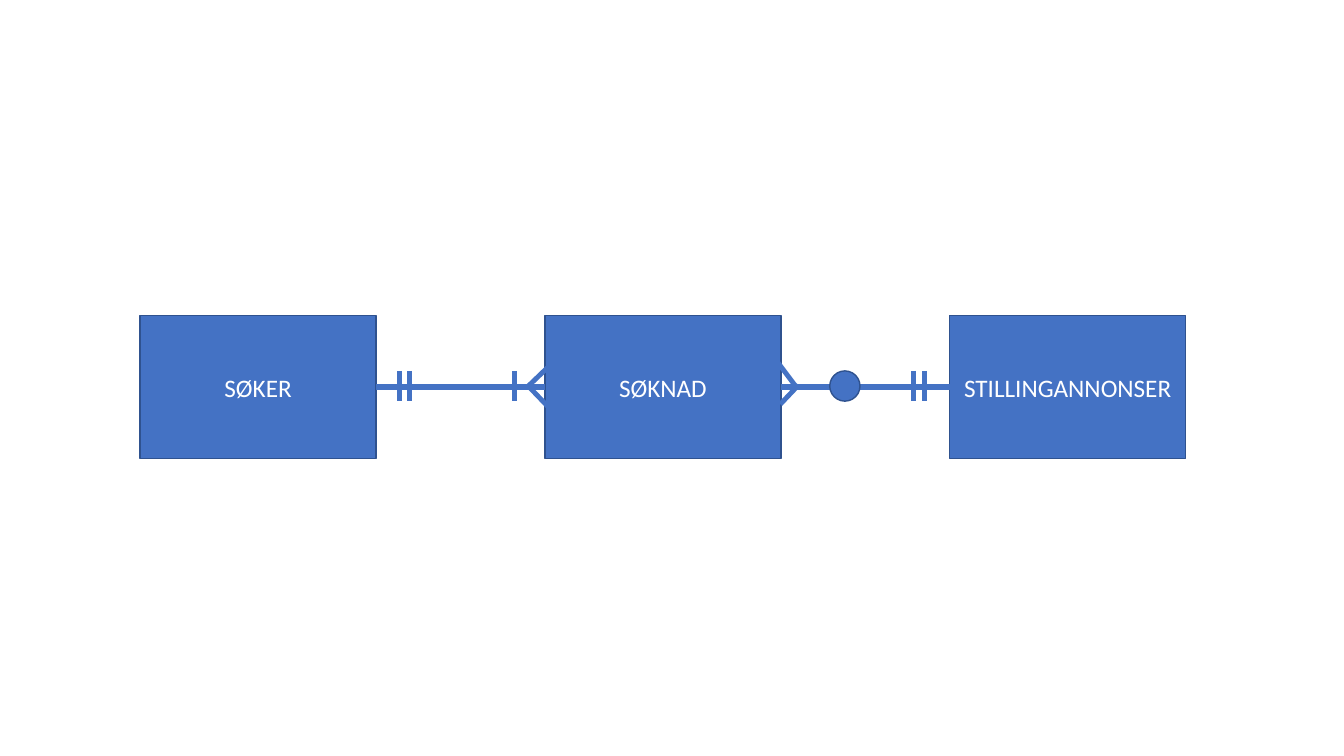
import pptx
import pptx.dml.color
import pptx.enum.shapes
import pptx.enum.text
import pptx.oxml.ns
import pptx.util
from dataclasses import dataclass
from lxml import etree
from pptx.util import Inches


@dataclass(frozen=True)
class Theme:
    fill: str = "4472C4"
    outline: str = "2F528F"
    text: str = "FFFFFF"
    font: str = "Calibri"
    text_size: float = 18
    outline_width: float = 1
    relation_width: float = 4.25
    mark_width: float = 3.5


def color(value):
    return pptx.dml.color.RGBColor.from_string(value)


class Diagram:
    """Draws entities and crow's-foot relations on one page."""

    def __init__(self, page, theme):
        self.page = page
        self.theme = theme

    def solid(self, kind, left, top, width, height):
        shape = self.page.shapes.add_shape(
            kind, Inches(left), Inches(top), Inches(width), Inches(height))
        shape.shadow.inherit = False
        shape.fill.solid()
        shape.fill.fore_color.rgb = color(self.theme.fill)
        shape.line.color.rgb = color(self.theme.outline)
        shape.line.width = pptx.util.Pt(self.theme.outline_width)
        return shape

    def entity(self, name, left, top, width, height):
        box = self.solid(pptx.enum.shapes.MSO_SHAPE.RECTANGLE, left, top, width, height)
        box.text_frame.vertical_anchor = pptx.enum.text.MSO_ANCHOR.MIDDLE
        para = box.text_frame.paragraphs[0]
        para.alignment = pptx.enum.text.PP_ALIGN.CENTER
        span = para.add_run()
        span.text = name
        span.font.color.rgb = color(self.theme.text)
        formats = {"name": self.theme.font, "size": pptx.util.Pt(self.theme.text_size)}
        for attribute, value in formats.items():
            setattr(span.font, attribute, value)
        return box

    def line(self, start, end, width):
        connector = self.page.shapes.add_connector(
            pptx.enum.shapes.MSO_CONNECTOR.STRAIGHT,
            *(Inches(value) for value in (*start, *end)))
        connector.line.color.rgb = color(self.theme.fill)
        connector.line.width = pptx.util.Pt(width)
        etree.SubElement(connector.element.spPr, pptx.oxml.ns.qn("a:effectLst"))
        return connector

    def relation(self, first, second):
        connector = self.line((0, 0), (1, 0), self.theme.relation_width)
        connector.begin_connect(first, 3)
        connector.end_connect(second, 1)

    def bar(self, x, top, height):
        self.line((x, top), (x, top + height), self.theme.mark_width)

    def toe(self, start, end):
        """Draw one slanted stroke of a crow's foot."""
        self.line(start, end, self.theme.mark_width)

    def zero(self, left, top, size):
        """Draw the circle that marks an optional relation."""
        self.solid(pptx.enum.shapes.MSO_SHAPE.OVAL, left, top, size, size)


def main():
    deck = pptx.Presentation()
    deck.slide_width, deck.slide_height = Inches(13.33), Inches(7.5)
    diagram = Diagram(deck.slides.add_slide(deck.slide_layouts[6]), Theme())

    box_left, box_top, box_width, box_height, box_step = 1.39, 3.13, 2.34, 1.42, 4.015
    names = ("SØKER", "SØKNAD", "STILLINGANNONSER")
    entities = [
        diagram.entity(name, box_left + index * box_step, box_top, box_width, box_height)
        for index, name in enumerate(names)
    ]
    for first, second in zip(entities, entities[1:]):
        diagram.relation(first, second)

    mark_top, mark_size = 3.68, 0.3
    for x in (3.96, 4.06, 5.1, 9.06, 9.17):
        diagram.bar(x, mark_top, mark_size)
    diagram.zero(8.23, mark_top, mark_size)

    toes = (
        ((5.49, 3.59), (5.24, 3.83)),
        ((5.23, 3.82), (5.46, 4.06)),
        ((7.71, 3.59), (7.89, 3.83)),
        ((7.92, 3.82), (7.74, 4.01)),
    )
    for start, end in toes:
        diagram.toe(start, end)

    deck.save("out.pptx")


if __name__ == "__main__":
    main()
